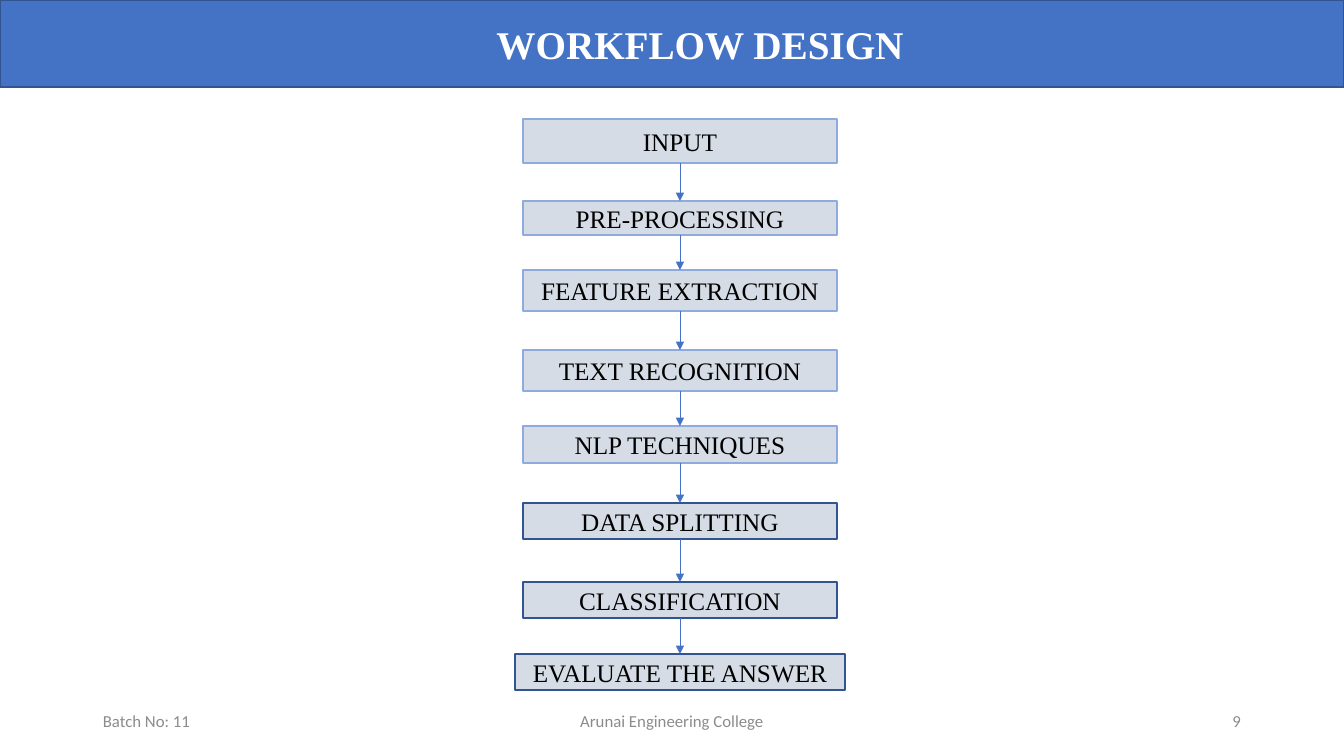
"""Build the workflow design slide: a title band, eight linked steps and a footer."""
from itertools import pairwise

from pptx import Presentation
from pptx.dml.color import RGBColor
from pptx.enum.shapes import MSO_CONNECTOR as CONNECTOR, MSO_SHAPE as SHAPE
from pptx.enum.text import MSO_ANCHOR as ANCHOR, MSO_AUTO_SIZE as AUTO_SIZE, PP_ALIGN as ALIGN
from pptx.oxml.ns import qn
from pptx.util import Pt
from lxml.etree import SubElement

SCALE = 12192000 / 1344
BLUE, NAVY, PALE_BLUE, GREY_BLUE = "4472C4", "325491", "8FAADC", "D6DCE5"
CENTER_X = 680


def emu(*lengths):
    return [round(length * SCALE) for length in lengths]


def write(shape, text, size, font_name, color, align=ALIGN.CENTER, bold=False):
    frame = shape.text_frame
    frame.text = text
    frame.word_wrap = True
    frame.auto_size = AUTO_SIZE.NONE
    frame.vertical_anchor = ANCHOR.MIDDLE
    paragraph = frame.paragraphs[0]
    paragraph.alignment = align
    font = paragraph.runs[0].font
    font.size, font.name, font.bold = Pt(size), font_name, bold
    font.color.rgb = RGBColor.from_string(color)


presentation = Presentation()
presentation.slide_width, presentation.slide_height = emu(1344, 756)
slide = presentation.slides.add_slide(presentation.slide_layouts[5])
shapes = slide.shapes

title = shapes.title
title.left, title.top, title.width, title.height = emu(65, -44, 1270, 181)
write(title, "WORKFLOW DESIGN", 28, "Times New Roman", "FFFFFF", bold=True)
title.text_frame.paragraphs[0].line_spacing = 0.9

band = (0, 0, 1344, 87, BLUE, NAVY, "")
steps = [
    ("INPUT", 119, 44, 314, PALE_BLUE),
    ("PRE-PROCESSING", 201, 34, 314, PALE_BLUE),
    ("FEATURE EXTRACTION", 270, 41, 314, PALE_BLUE),
    ("TEXT RECOGNITION", 350, 41, 314, PALE_BLUE),
    ("NLP TECHNIQUES", 426, 37, 314, PALE_BLUE),
    ("DATA SPLITTING", 503, 36, 314, NAVY),
    ("CLASSIFICATION", 582, 36, 314, NAVY),
    ("EVALUATE THE ANSWER", 654, 36, 330, NAVY),
]
step_boxes = [
    (CENTER_X - width // 2, top, width, height, GREY_BLUE, outline, label)
    for label, top, height, width, outline in steps
]

boxes = []
for left, top, width, height, fill, outline, label in [band, *step_boxes]:
    box = shapes.add_shape(SHAPE.RECTANGLE, *emu(left, top, width, height))
    box.shadow.inherit = False
    box.fill.solid()
    box.fill.fore_color.rgb = RGBColor.from_string(fill)
    box.line.color.rgb = RGBColor.from_string(outline)
    box.line.width = Pt(1)
    if label:
        write(box, label, 18, "Times New Roman", "000000")
    boxes.append(box)

title_band, *step_shapes = boxes
title._element.addprevious(title_band._element)

for upper, lower in pairwise(step_shapes):
    arrow = shapes.add_connector(CONNECTOR.STRAIGHT, 0, 0, 0, 0)
    arrow.begin_connect(upper, 2)
    arrow.end_connect(lower, 0)
    arrow.line.color.rgb = RGBColor.from_string(BLUE)
    arrow.line.width = Pt(0.5)
    SubElement(arrow.line._get_or_add_ln(), qn("a:tailEnd"), type="triangle")
    SubElement(arrow._element.spPr, qn("a:effectLst"))

for text, left, width, align in [
    ("Batch No: 11", 93, 302, ALIGN.LEFT),
    ("Arunai Engineering College", 445, 454, ALIGN.CENTER),
    ("9", 949, 302, ALIGN.RIGHT),
]:
    footer = shapes.add_textbox(*emu(left, 701, width, 40))
    write(footer, text, 12, "Calibri", "8C8C8C", align)

presentation.save("out.pptx")
